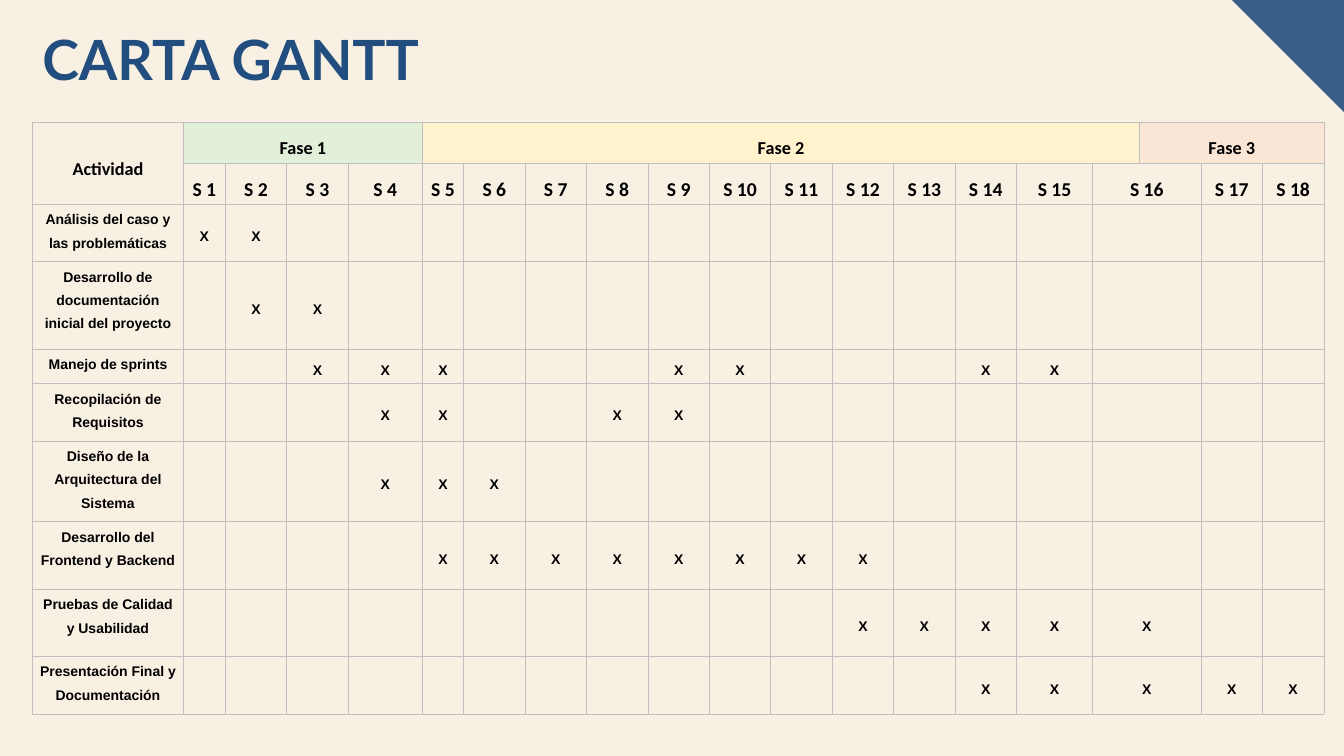
from pptx import Presentation
from pptx.util import Pt
from pptx.dml.color import RGBColor
from pptx.enum.text import PP_ALIGN as Align, MSO_ANCHOR as Anchor
from pptx.oxml import parse_xml as to_xml
from pptx.oxml.ns import nsdecls

TITLE = "CARTA GANTT"
HEAD = "Actividad"
PHASES = [
    ("Fase 1", 1, 4, "E2EFD9"),
    ("Fase 2", 5, 16, "FFF2CC"),
    ("Fase 3", 17, 19, "FBE5D5"),
]
WEEKS = 18
SPLIT = 16
TASKS = [
    ("Análisis del caso y las problemáticas", [1, 2], 40.9),
    ("Desarrollo de documentación inicial del proyecto", [2, 3], 62.8),
    ("Manejo de sprints", [3, 4, 5, 9, 10, 14, 15], 24.4),
    ("Recopilación de Requisitos", [4, 5, 8, 9], 40.9),
    ("Diseño de la Arquitectura del Sistema", [4, 5, 6], 57.7),
    ("Desarrollo del Frontend y Backend", range(5, 13), 48.3),
    ("Pruebas de Calidad y Usabilidad", range(12, 17), 48.1),
    ("Presentación Final y Documentación", range(14, 19), 41.2),
]
WIDE, HIGH = 960, 540
LEFT, TOP, HEAD_H = 23.2, 87.4, 29.3
WIDTHS = [107.8, 30, 43.9, 43.9, 53, 29.5] + [43.9] * 9 + [54.4, 33.5] + [43.9] * 3
HEIGHTS = [HEAD_H] * 2 + [task[2] for task in TASKS]
CORNER = 80

HEAD_FONT = {"name": "Calibri", "size": Pt(13), "bold": True}
WEEK_FONT = {**HEAD_FONT, "size": Pt(14)}
TASK_FONT = {"name": "Arial", "size": Pt(10), "bold": True}
TITLE_FONT = {"name": "Lato", "size": Pt(39.6), "bold": True}
PARA = {"alignment": Align.CENTER, "line_spacing": 1.5, "space_after": Pt(8)}
CELL = {"margin_left": Pt(5), "margin_right": Pt(5), "margin_top": 0, "margin_bottom": 0}
BORDER = ('<a:{0} {1} w="6350"><a:solidFill><a:srgbClr val="BFBFBF"/>'
          '</a:solidFill></a:{0}>')


def put(item, values):
    for key, value in values.items():
        setattr(item, key, value)


def paint(fill, color):
    fill.solid()
    fill.fore_color.rgb = RGBColor.from_string(color)


def write(frame, text, font, para, color="000000"):
    line = frame.paragraphs[0]
    put(line, para)
    run = line.add_run()
    run.text = text
    put(run.font, font)
    paint(run.font.fill, color)


def label(row, col, text, font, anchor=Anchor.MIDDLE):
    cell = grid.cell(row, col)
    cell.vertical_anchor = anchor
    write(cell.text_frame, text, font, PARA)


def week_col(week):
    return week + (week > SPLIT)


deck = Presentation()
put(deck, {"slide_width": Pt(WIDE), "slide_height": Pt(HIGH)})
slide = deck.slides.add_slide(deck.slide_layouts[6])
paint(slide.background.fill, "F8F0E3")

edge = slide.shapes.build_freeform(Pt(WIDE - CORNER), 0)
edge.add_line_segments([(Pt(WIDE), 0), (Pt(WIDE), Pt(CORNER))], close=True)
corner = edge.convert_to_shape()
corner.shadow.inherit = False
paint(corner.fill, "385E88")
corner.line.fill.background()

grid = slide.shapes.add_table(
    len(HEIGHTS), len(WIDTHS), Pt(LEFT), Pt(TOP), Pt(sum(WIDTHS)), Pt(sum(HEIGHTS))
).table
put(grid, {"first_row": False, "horz_banding": False})
for col, width in zip(grid.columns, WIDTHS):
    col.width = Pt(width)
for row, height in zip(grid.rows, HEIGHTS):
    row.height = Pt(height)
for cell in grid.iter_cells():
    put(cell, CELL)
    props = cell._tc.get_or_add_tcPr()
    for side in ("lnL", "lnR", "lnT", "lnB"):
        props.append(to_xml(BORDER.format(side, nsdecls("a"))))
    cell.fill.background()

grid.cell(0, 0).merge(grid.cell(1, 0))
label(0, 0, HEAD, HEAD_FONT)
for name, first, last, color in PHASES:
    grid.cell(0, first).merge(grid.cell(0, last))
    label(0, first, name, HEAD_FONT)
    for col in range(first, last + 1):
        paint(grid.cell(0, col).fill, color)
for row in range(1, len(HEIGHTS)):
    grid.cell(row, SPLIT).merge(grid.cell(row, SPLIT + 1))
for week in range(1, WEEKS + 1):
    label(1, week_col(week), f"S {week}", WEEK_FONT)
for row, (name, weeks, _) in enumerate(TASKS, 2):
    label(row, 0, name, TASK_FONT, Anchor.TOP)
    for week in weeks:
        label(row, week_col(week), "X", TASK_FONT)

title = slide.shapes.add_textbox(Pt(LEFT), Pt(18), Pt(308), Pt(54)).text_frame
put(title, {"word_wrap": True, "vertical_anchor": Anchor.MIDDLE})
write(title, TITLE, TITLE_FONT, {"line_spacing": 0.9}, "224E7F")

deck.save("out.pptx")
